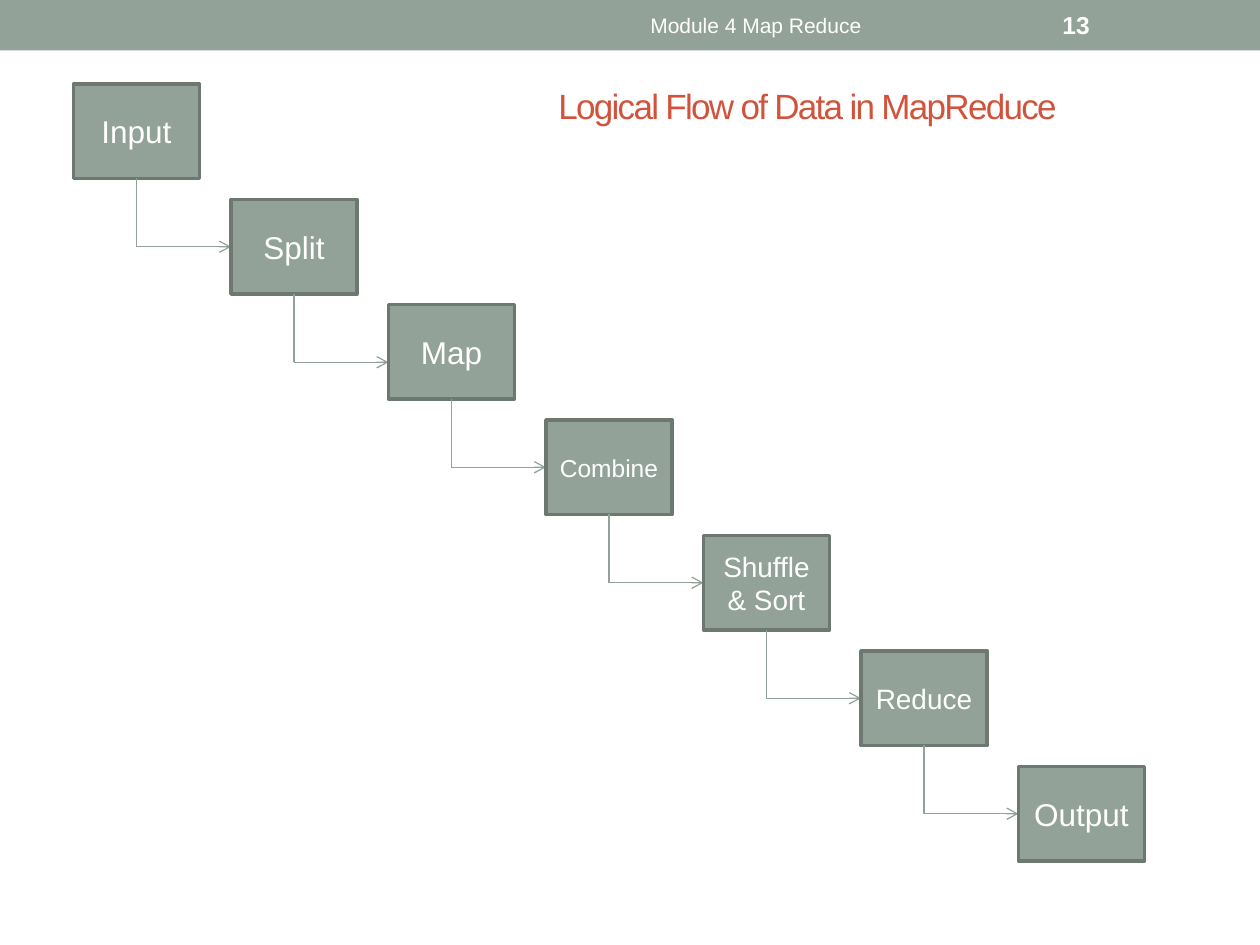
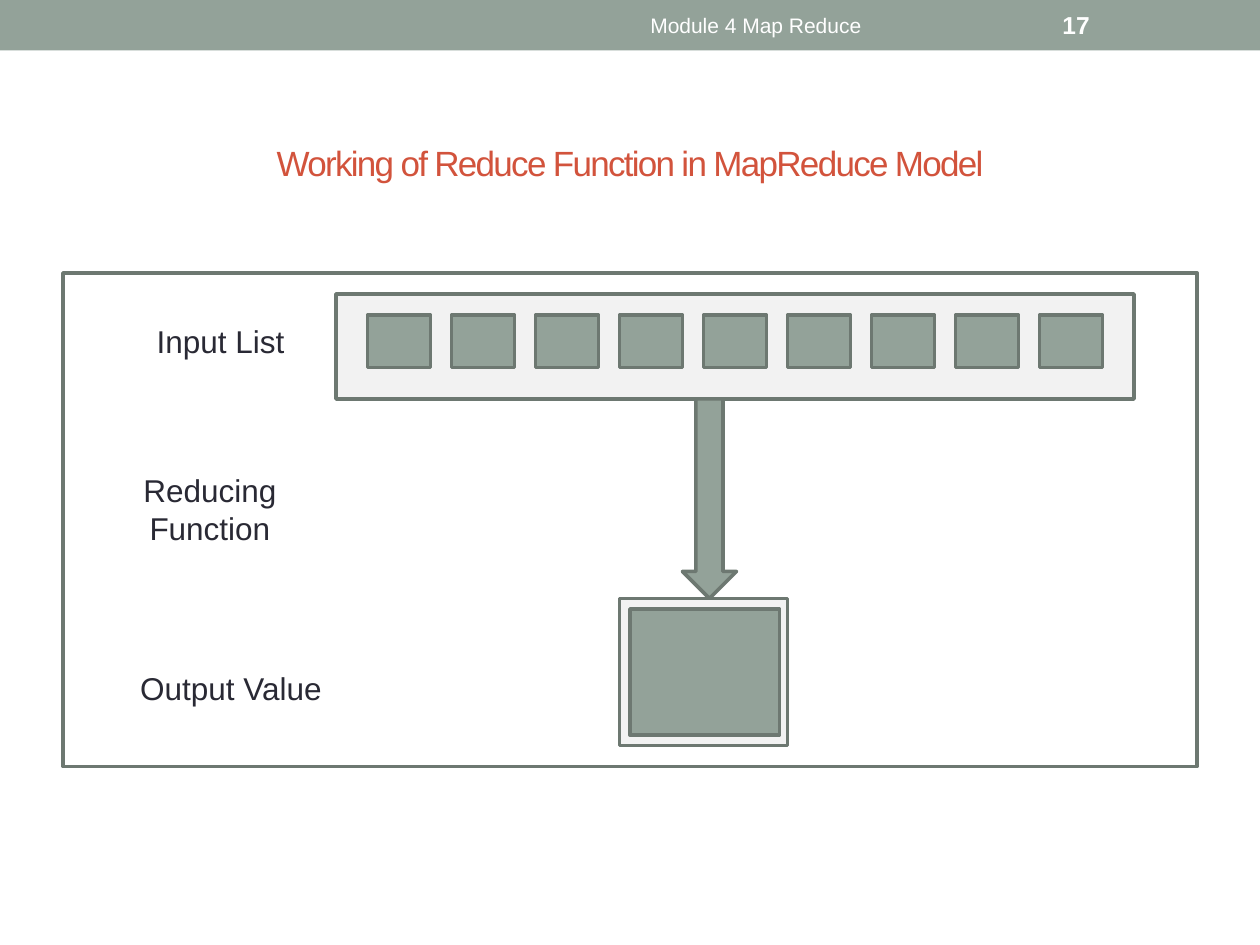
from lxml import etree
from pptx import Presentation
from pptx.dml.color import RGBColor
from pptx.enum.shapes import MSO_CONNECTOR, MSO_SHAPE
from pptx.enum.text import MSO_ANCHOR, PP_ALIGN
from pptx.oxml.ns import qn
from pptx.util import Inches, Pt

RECT, DOWN_ARROW = MSO_SHAPE.RECTANGLE, MSO_SHAPE.DOWN_ARROW
STRAIGHT = MSO_CONNECTOR.STRAIGHT
LEFT, CENTER, MIDDLE = PP_ALIGN.LEFT, PP_ALIGN.CENTER, MSO_ANCHOR.MIDDLE

SAGE = RGBColor(0x93, 0xA2, 0x99)
EDGE = RGBColor(0x6D, 0x78, 0x71)
PALE = RGBColor(0xF2, 0xF2, 0xF2)
WHITE = RGBColor(0xFF, 0xFF, 0xFF)
INK = RGBColor(0x29, 0x29, 0x34)
RUST = RGBColor(0xD2, 0x53, 0x3C)

FONT = "Arial"
FOOTER = "Module 4 Map Reduce"
# All places are counted in grid units: 120 columns by 90 rows, 12 to the inch.
COLUMNS, ROWS, UNIT = 120, 90, Inches(1) // 12
EDGE_WIDTH, LINK_WIDTH = Pt(2.08), Pt(0.75)


def grid(*counts):
    """Turn grid units into lengths."""
    return [round(count * UNIT) for count in counts]


def inside(box, left, top, width, height):
    """Place a box by its offset from the corner of an outer box."""
    return box[0] + left, box[1] + top, width, height


def write(shape, text, size, color, align=CENTER, bold=False, spacing=None):
    """Fill a shape with one formatted paragraph, centred vertically."""
    frame = shape.text_frame
    frame.word_wrap, frame.vertical_anchor = True, MIDDLE
    para = frame.paragraphs[0]
    para.alignment = align
    span = para.add_run()
    span.text = text
    for name, value in {"name": FONT, "size": Pt(size), "bold": bold}.items():
        setattr(span.font, name, value)
    span.font.color.rgb = color
    if spacing is not None:
        span.font._element.set("spc", str(round(spacing * 100)))


def add_label(page, box, text, size, color, **options):
    """Add a text box."""
    write(page.shapes.add_textbox(*grid(*box)), text, size, color, **options)


def add_block(page, box, fill=SAGE, line=EDGE, kind=RECT):
    """Add a flat shape; None leaves out its fill or line."""
    shape = page.shapes.add_shape(kind, *grid(*box))
    shape.shadow.inherit = False
    for part, color in ((shape.fill, fill), (shape.line.fill, line)):
        if color is None:
            part.background()
        else:
            part.solid()
            part.fore_color.rgb = color
    if line is not None:
        shape.line.width = EDGE_WIDTH
    return shape


def add_link(page, start, end, arrow=False):
    """Add a thin straight line, with an open arrowhead if asked."""
    link = page.shapes.add_connector(STRAIGHT, *grid(*start, *end))
    link.line.color.rgb, link.line.width = SAGE, LINK_WIDTH
    if arrow:
        etree.SubElement(link.line._get_or_add_ln(), qn("a:tailEnd"), type="arrow")
    etree.SubElement(link._element.spPr, qn("a:effectLst"))


def add_page(deck, number, title, title_box, align):
    """Start a slide with the top band, footer, slide number and title."""
    page = deck.slides.add_slide(deck.slide_layouts[6])
    band = (0, 0, COLUMNS, 4.8)
    add_block(page, band, line=None)
    add_label(page, title_box, title, 20, RUST, align=align, spacing=-1)
    add_label(page, inside(band, 45, 0.25, 54, 4.3), FOOTER, 12, WHITE)
    add_label(page, inside(band, 100, 0.25, 14, 4.3), str(number), 14, WHITE,
              align=LEFT, bold=True)
    return page


def add_staircase(page, box, steps):
    """Draw steps going down to the right, each linked to the next by an elbow."""
    left, top, width, _ = box
    step_width, step_height, drop = 12, 9, 6.5
    stride = (width - step_width) / (len(steps) - 1)
    for index, (text, size, row) in enumerate(steps):
        x, y = left + index * stride, top + row
        write(add_block(page, (x, y, step_width, step_height)), text, size, WHITE)
        if index < len(steps) - 1:
            middle, bottom = x + step_width / 2, y + step_height
            corner = (middle, bottom + drop)
            add_link(page, (middle, bottom), corner)
            add_link(page, corner, (x + stride, bottom + drop), arrow=True)


def add_input_list(page, box, count):
    """Draw a pale tray holding equally spaced tiles."""
    add_block(page, box, PALE)
    for index in range(count):
        add_block(page, inside(box, 3 + 8 * index, 2, 6, 5))


def add_reduction(page, box):
    """Draw a framed diagram of a list reduced to one value."""
    add_block(page, box, fill=None)
    add_input_list(page, inside(box, 26, 2, 76, 10), 9)
    value = inside(box, 53, 31, 16, 14)
    add_block(page, value, PALE)
    add_block(page, inside(value, 1, 1, 14.25, 12))
    for text, left, top, width in (("Input List", 6, 4, 18),
                                   ("Reducing Function", 2, 20, 24),
                                   ("Output Value", 6, 37, 20)):
        add_label(page, inside(box, left, top, width, 5), text, 18, INK)
    add_block(page, inside(box, 59, 12, 5.15, 19), kind=DOWN_ARROW)


deck = Presentation()
deck.slide_width, deck.slide_height = grid(COLUMNS, ROWS)

flow = add_page(deck, 13, "Logical Flow of Data in MapReduce", (52, 7, 62, 6), LEFT)
add_staircase(flow, (7, 8, 102, 74), [
    ("Input", 18, 0), ("Split", 18, 11), ("Map", 18, 21), ("Combine", 14, 32),
    ("Shuffle & Sort", 16, 43), ("Reduce", 16, 54), ("Output", 18, 65)])

reduction = add_page(deck, 17, "Working of Reduce Function in MapReduce Model",
                     (6, 11, 108, 9), CENTER)
add_reduction(reduction, (6, 26, 108, 47))

deck.save("out.pptx")
